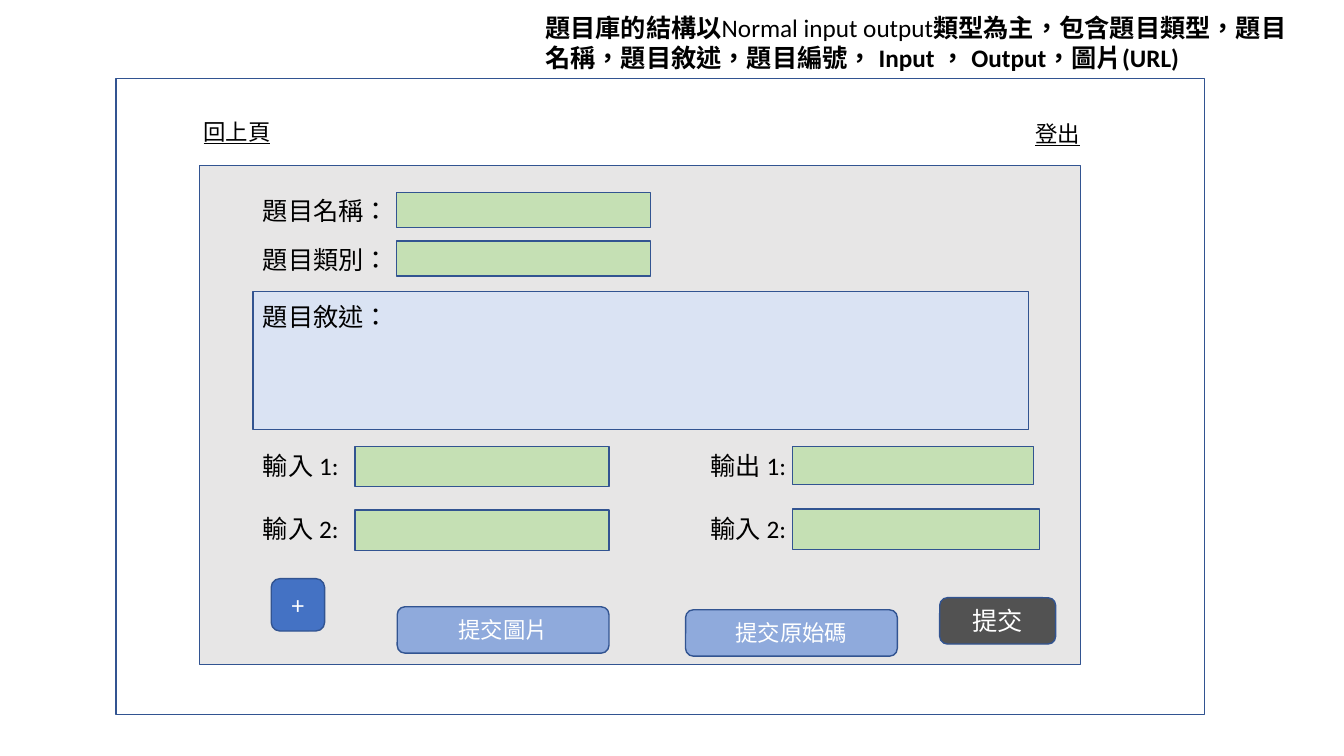
import pptx
import pptx.dml.color
import pptx.enum.lang
import pptx.enum.shapes
import pptx.enum.text
import pptx.util

PX = 9144  # EMU per px, 100 px to the inch
COLORS = {
    "white": "FFFFFF", "black": "000000", "outline": "325491",
    "panel": "E7E6E6", "description": "DAE3F3", "field": "C5E0B4",
    "add": "4472C4", "upload": "8FAADC", "submit": "525252",
}
RECTANGLE = pptx.enum.shapes.MSO_SHAPE.RECTANGLE
ROUNDED = pptx.enum.shapes.MSO_SHAPE.ROUNDED_RECTANGLE
ALIGN = pptx.enum.text.PP_ALIGN


def color(name):
    return pptx.dml.color.RGBColor.from_string(COLORS[name])


def place(box, left, top, width, height):
    """Turn a box given relative to another one into slide px."""
    return box[0] + left, box[1] + top, width, height


def emu(box):
    return [length * PX for length in box]


def write(shape, text, size=18, ink="black", align=None, underline=None, bold=None):
    """Text is a string, or a list of (string, bold) pairs."""
    paragraph = shape.text_frame.paragraphs[0]
    paragraph.alignment = align
    runs = [(text, bold)] if isinstance(text, str) else text
    for words, weight in runs:
        run = paragraph.add_run()
        run.text = words
        font = run.font
        font.name = "Calibri"
        font.size = pptx.util.Pt(size)
        font.bold = weight
        font.underline = underline
        font.color.rgb = color(ink)
        font.language_id = pptx.enum.lang.MSO_LANGUAGE_ID.TRADITIONAL_CHINESE


def add_label(slide, box, text, **text_format):
    shape = slide.shapes.add_textbox(*emu(box))
    shape.text_frame.word_wrap = True
    shape.text_frame.auto_size = pptx.enum.text.MSO_AUTO_SIZE.SHAPE_TO_FIT_TEXT
    write(shape, text, **text_format)


def add_block(slide, box, fill, preset=RECTANGLE):
    shape = slide.shapes.add_shape(preset, *emu(box))
    shape.shadow.inherit = False
    shape.fill.solid()
    shape.fill.fore_color.rgb = color(fill)
    shape.line.color.rgb = color("outline")
    shape.line.width = pptx.util.Pt(1)
    return shape


def add_button(slide, box, text, fill, size=18):
    shape = add_block(slide, box, fill, ROUNDED)
    shape.text_frame.vertical_anchor = pptx.enum.text.MSO_ANCHOR.MIDDLE
    write(shape, text, size=size, ink="white", align=ALIGN.CENTER)


def build_heading(slide, box):
    add_label(slide, box, [
        ("題目庫的結構以", True),
        ("Normal input output", False),
        ("類型為主，包含題目類型，題目名稱，題目敘述，題目編號， Input ， Output，圖片(URL)", True),
    ])


def build_window(slide, box):
    add_block(slide, box, "white")
    add_label(slide, place(box, 77, 34, 118, 37), "回上頁", size=16, underline=True)
    add_label(slide, place(box, 875, 36, 118, 37), "登出", size=16, underline=True,
              align=ALIGN.CENTER)
    build_form(slide, place(box, 83, 86, 874, 495))


def build_form(slide, box):
    add_block(slide, box, "panel")

    # Name and category
    for row, text in enumerate(("題目名稱：", "題目類別：")):
        add_label(slide, place(box, 53, 25 + 48 * row, 133, 40), text)
        add_block(slide, place(box, 195, 27 + 48 * row, 252, 35), "field")

    # Description
    add_block(slide, place(box, 53, 125, 769, 137), "description")
    add_label(slide, place(box, 53, 130, 133, 41), "題目敘述：")

    # Input and output pairs
    pairs = (("輸入 1:", "輸出 1:", 239, 38), ("輸入 2:", "輸入 2:", 245, 40))
    for row, (left_text, right_text, right_width, right_height) in enumerate(pairs):
        top = 278 + 62 * row
        add_block(slide, place(box, 154, top + 1 + row, 252, 40), "field")
        add_block(slide, place(box, 588, top + 1, right_width, right_height), "field")
        add_label(slide, place(box, 53, top, 95, 40), left_text)
        add_label(slide, place(box, 497, top, 126, 40), right_text)

    # Buttons
    add_button(slide, place(box, 71, 410, 53, 52), "+", "add")
    add_button(slide, place(box, 196, 438, 210, 46), "提交圖片", "upload", size=16)
    add_button(slide, place(box, 482, 441, 210, 46), "提交原始碼", "upload", size=16)
    add_button(slide, place(box, 734, 429, 115, 46), "提交", "submit")


def main():
    presentation = pptx.Presentation()
    presentation.slide_width = 1333 * PX
    presentation.slide_height = 750 * PX
    slide = presentation.slides.add_slide(presentation.slide_layouts[6])
    build_window(slide, (115, 78, 1080, 631))
    build_heading(slide, (531, 7, 769, 71))
    presentation.save("out.pptx")


if __name__ == "__main__":
    main()
